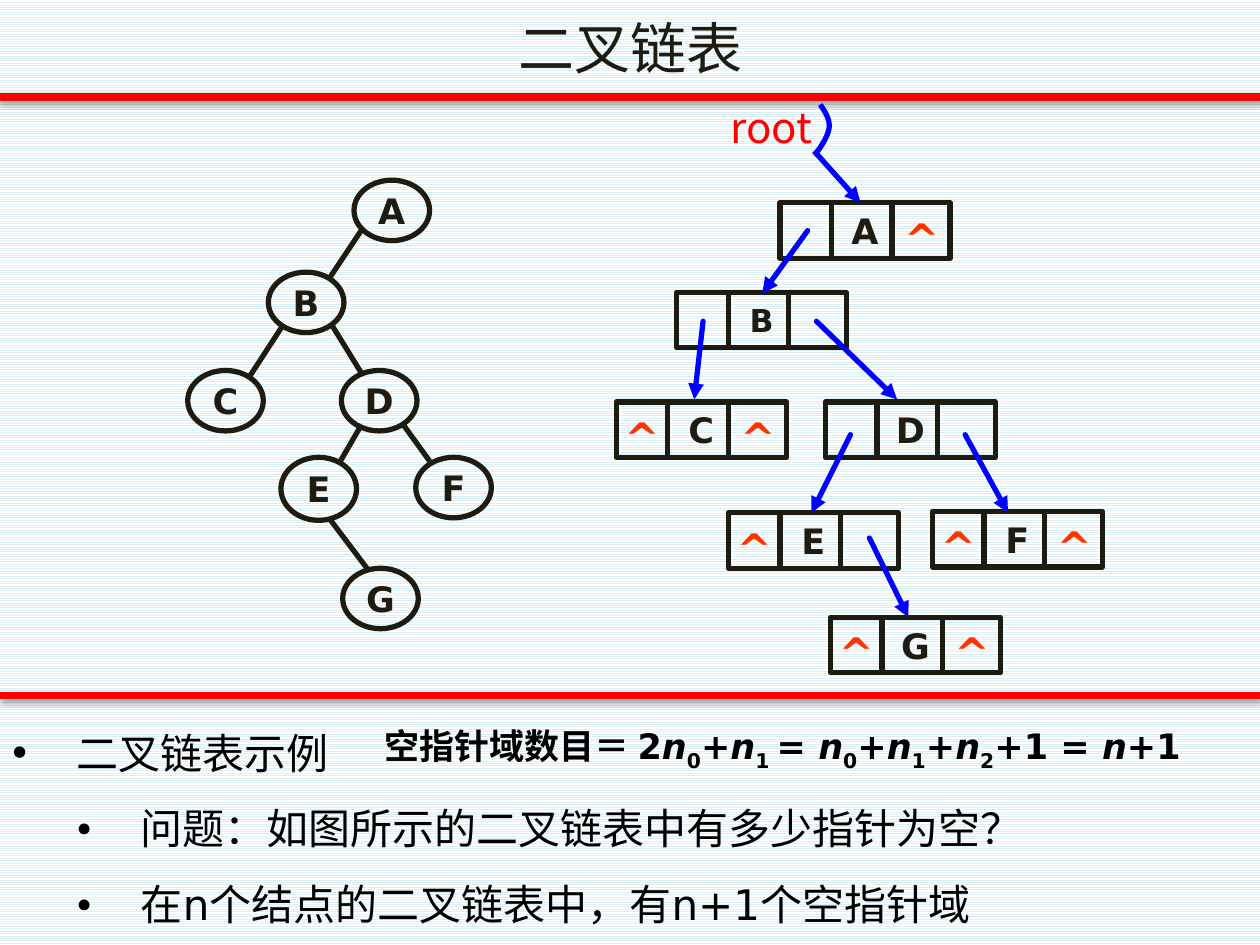
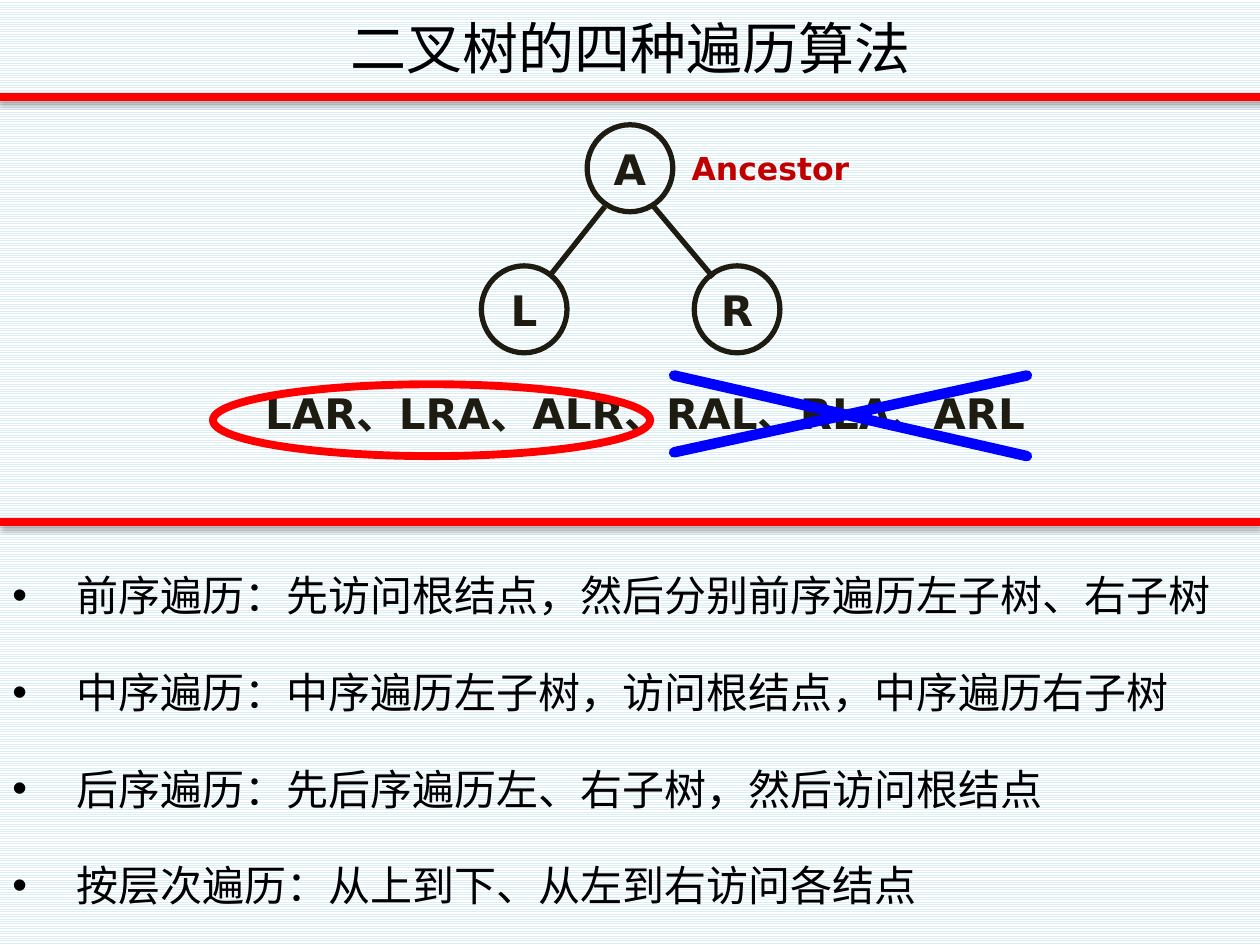
from dataclasses import dataclass
from typing import Optional

from lxml.etree import SubElement
from pptx import Presentation
from pptx.dml.color import RGBColor
from pptx.enum.dml import MSO_PATTERN
from pptx.enum.shapes import MSO_CONNECTOR, MSO_SHAPE
from pptx.enum.text import MSO_ANCHOR, PP_ALIGN
from pptx.oxml.ns import qn
from pptx.util import Inches, Pt

STRAIGHT = MSO_CONNECTOR.STRAIGHT
OVAL, RECT = MSO_SHAPE.OVAL, MSO_SHAPE.RECTANGLE
LEFT, CENTER = PP_ALIGN.LEFT, PP_ALIGN.CENTER
TOP, MIDDLE = MSO_ANCHOR.TOP, MSO_ANCHOR.MIDDLE
STRIPES = MSO_PATTERN.LIGHT_HORIZONTAL

COLORS = {
    "ink": "1E1C11", "black": "000000", "red": "FF0000", "blue": "0000FF",
    "null": "FF3300", "wine": "C00000", "stripe": "DBEEF4", "paper": "FFFFFF",
}
LATIN, HAN = "DejaVu Sans", "Noto Sans CJK SC"
CELL_W, CELL_H = 1.35, 0.44
SPLITS = (0.41, 0.89)
NULL_W, NULL_X = 0.43, {"L": -0.01, "R": 0.91}


@dataclass
class Style:
    size: float
    color: str = "ink"
    bold: bool = False
    font: str = LATIN
    align: PP_ALIGN = CENTER


@dataclass
class Node:
    name: str
    x: float
    y: float
    w: float = 0.6
    h: float = 0.48


@dataclass
class Record:
    name: str
    x: float
    y: float
    nulls: str = ""
    size: int = 20


@dataclass
class Line:
    x1: float
    y1: float
    x2: float
    y2: float
    color: str = "ink"
    width: float = 3
    arrow: bool = False
    shadow: bool = False


@dataclass
class Item:
    text: str
    sub: bool = False


TREE = [
    Node("A", 2.81, 1.43), Node("B", 2.13, 2.16), Node("C", 1.49, 2.94),
    Node("D", 2.71, 2.94), Node("E", 2.23, 3.63, h=0.5),
    Node("F", 3.3, 3.63), Node("G", 2.72, 4.51),
]
EDGES = [
    (2.88, 1.81, 2.62, 2.2), (2.24, 2.59, 1.98, 2.99),
    (2.64, 2.59, 2.88, 2.98), (2.87, 3.37, 2.69, 3.68),
    (3.2, 3.37, 3.41, 3.66), (2.61, 4.11, 2.92, 4.52),
]
RECORDS = [
    Record("A", 6.19, 1.61, "R"), Record("B", 5.37, 2.32, size=18),
    Record("C", 4.89, 3.19, "LR"), Record("D", 6.55, 3.19),
    Record("E", 5.78, 4.07, "L"), Record("F", 7.4, 4.06, "LR"),
    Record("G", 6.59, 4.9, "LR"),
]
LINKS = [
    (6.41, 1.83, 6.05, 2.33), (5.58, 2.55, 5.51, 3.17),
    (6.48, 2.55, 7.12, 3.17), (6.75, 3.45, 6.44, 4.07),
    (7.66, 3.45, 8, 4.07), (6.9, 4.27, 7.21, 4.9),
    (6.48, 1.22, 6.83, 1.61),
]
CURVES = [
    ((6.51, 0.83), (6.55, 0.89), (6.59, 0.95), (6.58, 1.02)),
    ((6.58, 1.02), (6.57, 1.09), (6.49, 1.21), (6.46, 1.23)),
]
FORMULA = [
    ("空指针域数目＝ 2", ""), ("n", "i"), ("0", "s"), ("+", ""), ("n", "i"),
    ("1 ", "s"), ("= ", ""), ("n", "i"), ("0", "s"), ("+", ""), ("n", "i"),
    ("1", "s"), ("+", ""), ("n", "i"), ("2", "s"), ("+1 = ", ""), ("n", "i"),
    ("+1", ""),
]
FACTS = [
    Item("二叉链表示例"),
    Item("问题：如图所示的二叉链表中有多少指针为空？", True),
    Item("在n个结点的二叉链表中，有n+1个空指针域", True),
]
ORDERS = [
    Item("前序遍历：先访问根结点，然后分别前序遍历左子树、右子树"),
    Item("中序遍历：中序遍历左子树，访问根结点，中序遍历右子树"),
    Item("后序遍历：先后序遍历左、右子树，然后访问根结点"),
    Item("按层次遍历：从上到下、从左到右访问各结点"),
]


def rgb(name: str) -> RGBColor:
    return RGBColor.from_string(COLORS[name])


def set_style(para, style: Style) -> None:
    para.alignment = style.align
    font = para.font
    font.size, font.bold, font.name = Pt(style.size), style.bold, style.font
    font.color.rgb = rgb(style.color)
    SubElement(font._element, qn("a:ea"), typeface=HAN)


def add_text(slide, text: str, box: tuple, style: Style, inset: Optional[tuple] = None):
    shape = slide.shapes.add_textbox(*map(Inches, box))
    frame = shape.text_frame
    frame.word_wrap = True
    if inset:
        (frame.margin_left, frame.margin_top,
         frame.margin_right, frame.margin_bottom) = map(Inches, inset)
        frame.vertical_anchor = MIDDLE
    para = frame.paragraphs[0]
    para.text = text
    set_style(para, style)
    return para


def add_line(slide, line: Line) -> None:
    ends = map(Inches, (line.x1, line.y1, line.x2, line.y2))
    link = slide.shapes.add_connector(STRAIGHT, *ends)
    link.line.width = Pt(line.width)
    link.line.color.rgb = rgb(line.color)
    props = link._element.spPr
    stroke = props.find(qn("a:ln"))
    if line.color == "blue":
        stroke.set("cap", "rnd")
    if line.arrow:
        SubElement(stroke, qn("a:tailEnd"), type="triangle")
    effects = SubElement(props, qn("a:effectLst"))
    if line.shadow:
        shade = SubElement(effects, qn("a:outerShdw"), blurRad=str(Pt(3.1)),
                           dist=str(Pt(1.8)), dir="5400000", rotWithShape="0")
        tint = SubElement(shade, qn("a:srgbClr"), val=COLORS["black"])
        SubElement(tint, qn("a:alpha"), val="35000")


def add_rule(slide, y: float, left: float = 0, right: float = 10) -> None:
    add_line(slide, Line(left, y, right, y, "red", 4.5, shadow=True))


def add_frame(slide, kind, box: tuple, text: str = "", size: int = 20,
              color: str = "ink", width: float = 3) -> None:
    shape = slide.shapes.add_shape(kind, *map(Inches, box))
    shape.shadow.inherit = False
    shape.fill.background()
    shape.line.color.rgb, shape.line.width = rgb(color), Pt(width)
    if text:
        frame = shape.text_frame
        frame.word_wrap, frame.vertical_anchor = False, MIDDLE
        frame.paragraphs[0].text = text
        set_style(frame.paragraphs[0], Style(size, bold=True))


def add_node(slide, node: Node, size: int = 20) -> None:
    add_frame(slide, OVAL, (node.x, node.y, node.w, node.h), node.name, size)


def add_record(slide, rec: Record) -> None:
    add_frame(slide, RECT, (rec.x, rec.y, CELL_W, CELL_H), rec.name, rec.size)
    for split in SPLITS:
        x = rec.x + split
        add_line(slide, Line(x, rec.y, x, rec.y + CELL_H))
    for side in rec.nulls:
        box = (rec.x + NULL_X[side], rec.y, NULL_W, NULL_W)
        add_text(slide, "^", box, Style(24, "null", True), (0, 0.12, 0, 0))


def add_curve(slide, curves: list, steps: int = 8) -> None:
    dots = []
    for a, b, c, d in curves:
        for step in range(1, steps + 1):
            t = step / steps
            u = 1 - t
            dots.append(tuple(
                Inches(u**3 * a[k] + 3 * u * u * t * b[k]
                       + 3 * u * t * t * c[k] + t**3 * d[k]) for k in (0, 1)))
    pen = slide.shapes.build_freeform(*map(Inches, curves[0][0]))
    pen.add_line_segments(dots, close=False)
    shape = pen.convert_to_shape()
    shape.shadow.inherit = False
    shape.fill.background()
    shape.line.color.rgb, shape.line.width = rgb("blue"), Pt(3)


def add_items(slide, items: list[Item], box: tuple, gap: float = 0) -> None:
    shape = slide.shapes.add_textbox(*map(Inches, box))
    frame = shape.text_frame
    frame.word_wrap, frame.vertical_anchor = True, TOP
    for index, item in enumerate(items):
        para = frame.add_paragraph() if index else frame.paragraphs[0]
        para.text = item.text
        props = para._p.get_or_add_pPr()
        props.set("marL", str(Inches(1.02 if item.sub else 0.51)))
        props.set("indent", str(Inches(-0.51)))
        tint = SubElement(props, qn("a:buClr"))
        SubElement(tint, qn("a:srgbClr"), val=COLORS["black"])
        if item.sub:
            SubElement(props, qn("a:buSzPct"), val="60000")
        SubElement(props, qn("a:buFont"), typeface="Arial")
        SubElement(props, qn("a:buChar"), char="●" if item.sub else "•")
        para.line_spacing = Pt(43.3)
        if index and gap:
            para.space_before = Pt(gap)
        set_style(para, Style(24, "black", align=LEFT))


def add_formula(slide) -> None:
    para = add_text(slide, "", (2.95, 5.7, 6.78, 0.44),
                    Style(20, "black", True, align=LEFT))
    for text, mark in FORMULA:
        run = para.add_run()
        run.text = text
        if mark == "i":
            run.font.italic = True
        elif mark == "s":
            run.font._element.set("baseline", "-25000")


def new_slide(deck, title: str, style: Style):
    slide = deck.slides.add_slide(deck.slide_layouts[5])
    fill = slide.background.fill
    fill.patterned()
    fill.pattern = STRIPES
    fill.fore_color.rgb, fill.back_color.rgb = rgb("stripe"), rgb("paper")
    add_rule(slide, 0.77, -0.01, 10.01)
    head = slide.shapes.title
    head.left, head.top, head.width, head.height = map(Inches, (0, 0.05, 10.01, 0.65))
    head.text_frame.vertical_anchor = MIDDLE
    para = head.text_frame.paragraphs[0]
    para.text = title
    set_style(para, style)
    return slide


def draw_list(deck) -> None:
    slide = new_slide(deck, "二叉链表", Style(32))
    add_items(slide, FACTS, (0, 5.52, 10, 1.95))
    for node in TREE:
        add_node(slide, node)
    for edge in EDGES:
        add_line(slide, Line(*edge))
    for rec in RECORDS:
        add_record(slide, rec)
    for link in LINKS:
        add_line(slide, Line(*link, "blue", arrow=True))
    add_curve(slide, CURVES)
    add_rule(slide, 5.52)
    add_text(slide, "root", (5.47, 0.76, 1.3, 0.5), Style(24, "red", font=HAN))
    add_formula(slide)


def draw_walks(deck) -> None:
    slide = new_slide(deck, "二叉树的四种遍历算法", Style(32, "black", font=HAN))
    add_items(slide, ORDERS, (0, 4.27, 10, 3.17), 12)
    for name, x, y in (("A", 4.66, 0.99), ("L", 3.82, 2.11), ("R", 5.51, 2.11)):
        add_node(slide, Node(name, x, y, 0.68, 0.69), 24)
    add_line(slide, Line(4.8, 1.64, 4.37, 2.18))
    add_line(slide, Line(5.18, 1.63, 5.66, 2.2))
    add_text(slide, "LAR、LRA、ALR、RAL、RLA、ARL", (1.46, 3.03, 7.32, 0.5),
             Style(24, bold=True))
    add_frame(slide, OVAL, (1.69, 3.05, 3.47, 0.57), color="red", width=4.5)
    add_line(slide, Line(8.15, 2.98, 5.35, 3.59, "blue", 6))
    add_line(slide, Line(5.35, 2.98, 8.15, 3.62, "blue", 6))
    add_text(slide, "Ancestor", (5.39, 1.13, 1.97, 0.44),
             Style(18, "wine", True, align=LEFT))
    add_rule(slide, 4.14)


def main() -> None:
    """Build the two binary tree slides."""
    deck = Presentation()
    deck.slide_width, deck.slide_height = Inches(10), Inches(7.5)
    draw_list(deck)
    draw_walks(deck)
    deck.save("out.pptx")


if __name__ == "__main__":
    main()
